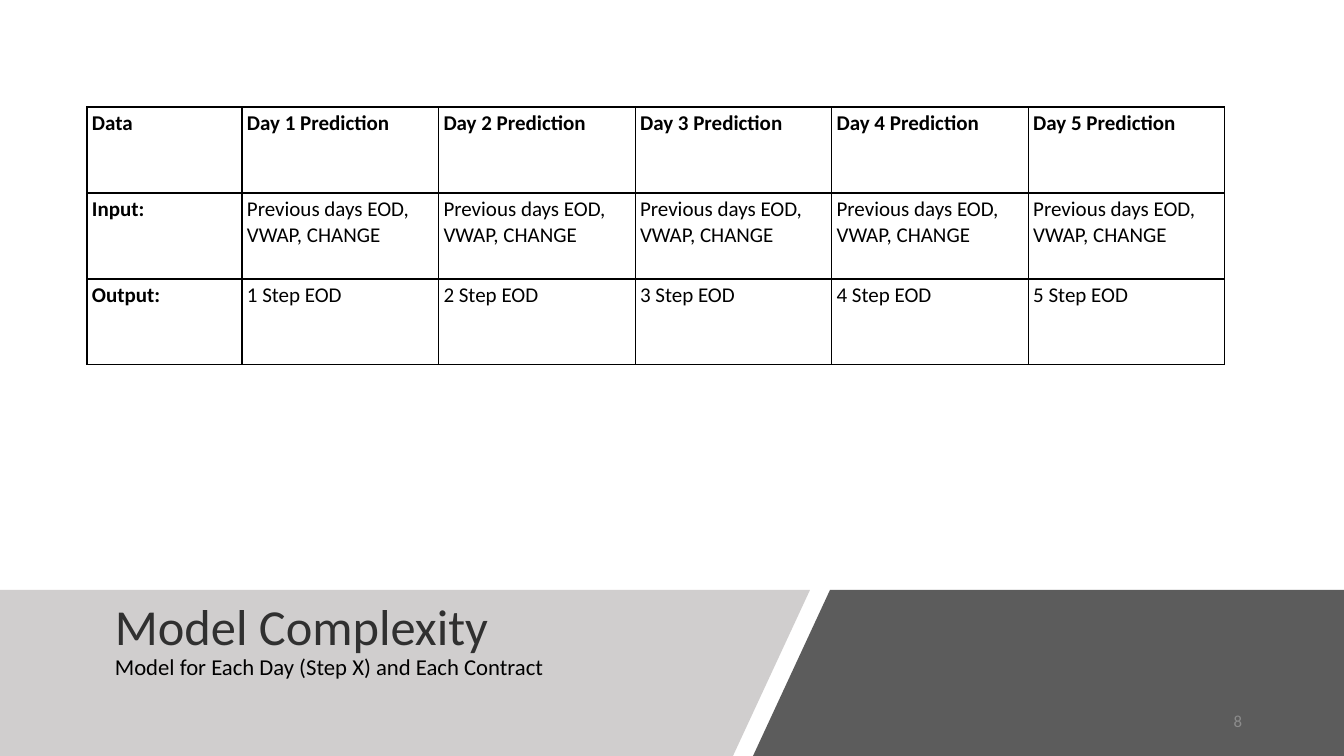
from lxml import etree
from pptx import Presentation, util as u
from pptx.dml.color import RGBColor
from pptx.enum import text
from pptx.oxml import ns

SCALE = 9071
FONT = "Calibri"
DAYS = range(1, 6)
ROWS = [
    ["Data"] + [f"Day {day} Prediction" for day in DAYS],
    ["Input: "] + ["Previous days EOD, VWAP, CHANGE"] * len(DAYS),
    ["Output:"] + [f"{day} Step EOD" for day in DAYS],
]


def px(value):
    return u.Emu(round(value * SCALE))


def color(code):
    return RGBColor.from_string(code)


def assign(target, values):
    for name, value in values.items():
        setattr(target, name, value)


def add_span(para, words, size, code, bold=False):
    span = para.add_run()
    span.text = words
    assign(span.font, {"name": FONT, "size": u.Pt(size), "bold": bold})
    span.font.color.rgb = color(code)


def add_text_box(page, box, anchor):
    frame = page.shapes.add_textbox(*map(px, box)).text_frame
    assign(frame, {"word_wrap": True, "vertical_anchor": anchor})
    return frame.paragraphs[0]


def add_panel(page, points, code, opacity=100):
    builder = page.shapes.build_freeform(*points[0], scale=SCALE)
    builder.add_line_segments(points[1:], close=True)
    panel = builder.convert_to_shape()
    panel.shadow.inherit = False
    panel.fill.solid()
    panel.fill.fore_color.rgb = color(code)
    panel.line.fill.background()
    if opacity < 100:
        fill = panel.fill._xPr.find(".//" + ns.qn("a:srgbClr"))
        etree.SubElement(fill, ns.qn("a:alpha"), val=str(opacity * 1000))


def add_footer_band(page, box):
    left, top, width, height = box
    right, bottom = left + width, top + height
    slant = 77
    dark_left, light_right = left + 753, left + 733
    add_panel(page, [(dark_left + slant, top), (right, top),
                     (right, bottom), (dark_left, bottom)], "404040", 85)
    add_panel(page, [(left, top), (light_right + slant, top),
                     (light_right, bottom), (left, bottom)], "D0CECE")


def add_title(page, box):
    para = add_text_box(page, box, text.MSO_ANCHOR.TOP)
    para.line_spacing = 0.9
    add_span(para, "Model Complexity", 36, "303030")
    para.add_line_break()
    add_span(para, "Model for Each Day (Step X) and Each Contract", 16.2, "000000")


def add_borders(cell):
    properties = cell._tc.get_or_add_tcPr()
    for index, side in enumerate(("lnL", "lnR", "lnT", "lnB")):
        line = etree.Element(ns.qn("a:" + side), w=str(u.Pt(1)))
        fill = etree.SubElement(line, ns.qn("a:solidFill"))
        etree.SubElement(fill, ns.qn("a:srgbClr"), val="000000")
        properties.insert(index, line)


def add_prediction_table(page, box):
    width, height = box[2:]
    label_width = 155
    table = page.shapes.add_table(len(ROWS), len(ROWS[0]), *map(px, box)).table
    assign(table, {"first_row": False, "horz_banding": False})
    for index, column in enumerate(table.columns):
        column.width = px((width - label_width) / len(DAYS) if index else label_width)
    for row in table.rows:
        row.height = px(height / len(ROWS))
    margins = {"margin_left": px(5), "margin_right": px(5),
               "margin_top": px(4), "margin_bottom": px(4)}
    for row, labels in enumerate(ROWS):
        for column, words in enumerate(labels):
            cell = table.cell(row, column)
            assign(cell, margins)
            cell.fill.background()
            add_borders(cell)
            heading = row == 0 or column == 0
            add_span(cell.text_frame.paragraphs[0], words, 15, "000000", heading)


def add_page_number(page, box):
    para = add_text_box(page, box, text.MSO_ANCHOR.MIDDLE)
    para.alignment = text.PP_ALIGN.RIGHT
    add_span(para, "8", 12, "8C8C8C")


deck = Presentation()
assign(deck, {"slide_width": px(1344), "slide_height": px(756)})
page = deck.slides.add_slide(deck.slide_layouts[6])
add_footer_band(page, (0, 590, 1344, 166))
add_title(page, (105, 597, 628, 134))
add_prediction_table(page, (87, 107, 1138, 258))
add_page_number(page, (950, 701, 302, 40))
deck.save("out.pptx")
